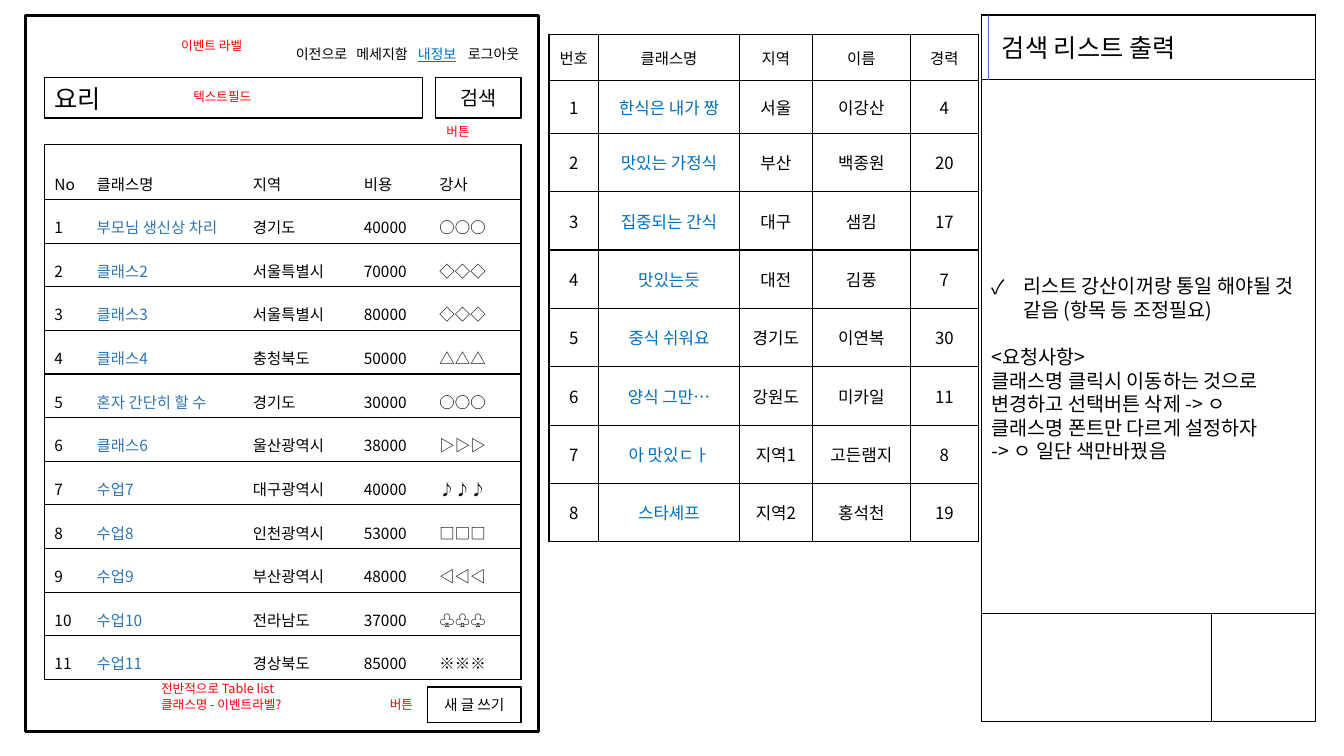
"""Builds the class search list wireframe slide."""
from lxml import etree
from pptx import Presentation
from pptx.dml.color import RGBColor
from pptx.enum import shapes, text
from pptx.oxml import ns
from pptx.util import Pt

FONT = "Noto Sans CJK KR"
COLORS = {"black": "000000", "white": "FFFFFF", "red": "FF0000",
          "link": "0070C0", "class": "2E75B6", "accent": "4472C4"}
LEFT, CENTER = text.PP_ALIGN.LEFT, text.PP_ALIGN.CENTER
TOP, MIDDLE = text.MSO_ANCHOR.TOP, text.MSO_ANCHOR.MIDDLE

TITLE = "검색 리스트 출력"
TODO = "리스트 강산이꺼랑 통일 해야될 것 같음 (항목 등 조정필요)"
REQUESTS = ["<요청사항>", "클래스명 클릭시 이동하는 것으로 변경하고 선택버튼 삭제 -> ㅇ",
            "클래스명 폰트만 다르게 설정하자", "-> ㅇ 일단 색만바꿨음"]
COURSES = [
    ("No", "클래스명", "지역", "비용", "강사"),
    ("1", "부모님 생신상 차리", "경기도", "40000", "○○○"),
    ("2", "클래스2", "서울특별시", "70000", "◇◇◇"),
    ("3", "클래스3", "서울특별시", "80000", "◇◇◇"),
    ("4", "클래스4", "충청북도", "50000", "△△△"),
    ("5", "혼자 간단히 할 수", "경기도", "30000", "○○○"),
    ("6", "클래스6", "울산광역시", "38000", "▷▷▷"),
    ("7", "수업7", "대구광역시", "40000", "♪♪♪"),
    ("8", "수업8", "인천광역시", "53000", "□□□"),
    ("9", "수업9", "부산광역시", "48000", "◁◁◁"),
    ("10", "수업10", "전라남도", "37000", "♧♧♧"),
    ("11", "수업11", "경상북도", "85000", "※※※"),
]
TEACHERS = [
    ("번호", "클래스명", "지역", "이름", "경력"),
    ("1", "한식은 내가 짱", "서울", "이강산", "4"),
    ("2", "맛있는 가정식", "부산", "백종원", "20"),
    ("3", "집중되는 간식", "대구", "샘킴", "17"),
    ("4", "맛있는듯", "대전", "김풍", "7"),
    ("5", "중식 쉬워요", "경기도", "이연복", "30"),
    ("6", "양식 그만…", "강원도", "미카일", "11"),
    ("7", "아 맛있ㄷㅏ", "지역1", "고든램지", "8"),
    ("8", "스타셰프", "지역2", "홍석천", "19"),
]
NOTES = [
    (122.4, 23.8, ["이벤트 라벨"]),
    (131, 59.8, ["텍스트필드"]),
    (311.8, 85, ["버튼"]),
    (108, 483.1, ["전반적으로 Table list", "클래스명 - 이벤트라벨?"]),
    (271.4, 493.9, ["버튼"]),
]
NAV = [("이전으로", 200.9, 57.6, "black"), ("메세지함", 244.1, 57.6, "black"),
       ("내정보", 286.6, 51.1, "link"), ("로그아웃", 322.6, 59.8, "black")]
PANEL_X, PANEL_Y, PANEL_W, PANEL_H = 701.3, 10.8, 238.3, 504.7
HEAD_Y, FOOT_Y = 56.9, 437.8
RULES = [(PANEL_X, HEAD_Y, PANEL_X + PANEL_W, HEAD_Y, "black"),
         (706.3, PANEL_Y, 706.3, HEAD_Y, "accent"),
         (PANEL_X, FOOT_Y, PANEL_X + PANEL_W, FOOT_Y, "black"),
         (865.4, FOOT_Y, 865.4, PANEL_Y + PANEL_H, "black")]


def rgb(name):
    return RGBColor.from_string(COLORS[name])


def add_run(p, words, size, color="black"):
    r = p.add_run()
    r.text = words
    r.font.size, r.font.name = Pt(size), FONT
    r.font.color.rgb = rgb(color)
    latin = r.font._element.find(ns.qn("a:latin"))
    latin.addnext(latin.makeelement(ns.qn("a:ea"), {"typeface": FONT}))
    return r


def write(tf, lines, size, color="black", align=LEFT, anchor=TOP):
    tf.word_wrap = True
    tf.auto_size = text.MSO_AUTO_SIZE.NONE
    tf.vertical_anchor = anchor
    for i, line in enumerate(lines):
        p = tf.add_paragraph() if i else tf.paragraphs[0]
        p.alignment = align
        add_run(p, line, size, color)
    return tf


def add_box(s, x, y, w, h, width=1, fill="white"):
    sp = s.shapes.add_shape(shapes.MSO_SHAPE.RECTANGLE, Pt(x), Pt(y), Pt(w), Pt(h))
    sp.shadow.inherit = False
    if fill:
        sp.fill.solid()
        sp.fill.fore_color.rgb = rgb(fill)
    else:
        sp.fill.background()
    sp.line.color.rgb, sp.line.width = rgb("black"), Pt(width)
    return sp


def add_label(s, x, y, w, h, lines, size, color, **layout):
    tf = s.shapes.add_textbox(Pt(x), Pt(y), Pt(w), Pt(h)).text_frame
    return write(tf, lines, size, color, **layout)


def add_rule(s, x1, y1, x2, y2, color):
    line = s.shapes.add_connector(shapes.MSO_CONNECTOR.STRAIGHT, Pt(x1), Pt(y1), Pt(x2), Pt(y2))
    line.line.color.rgb, line.line.width = rgb(color), Pt(0.5)
    etree.SubElement(line._element.spPr, ns.qn("a:effectLst"))
    return line


def set_borders(cell, drawn):
    tcPr = cell._tc.get_or_add_tcPr()
    for side in "LRTB":
        ln = etree.SubElement(tcPr, ns.qn("a:ln" + side), w=str(Pt(1)))
        if side in drawn:
            fill = etree.SubElement(ln, ns.qn("a:solidFill"))
            etree.SubElement(fill, ns.qn("a:srgbClr"), val=COLORS["black"])
        else:
            etree.SubElement(ln, ns.qn("a:noFill"))
    cell.fill.background()


def add_grid(s, x, y, rows, widths, heights, sizes, link, align, anchor, spacing, inner):
    frame = s.shapes.add_table(len(rows), len(widths), Pt(x), Pt(y), Pt(sum(widths)), Pt(sum(heights)))
    table = frame.table
    table.first_row = table.horz_banding = False
    for column, w in zip(table.columns, widths):
        column.width = Pt(w)
    for i, (row, h) in enumerate(zip(rows, heights)):
        table.rows[i].height = Pt(h)
        for j, words in enumerate(row):
            cell = table.cell(i, j)
            cell.vertical_anchor = anchor
            p = cell.text_frame.paragraphs[0]
            p.alignment, p.line_spacing = align, spacing[i > 0]
            add_run(p, words, sizes[i > 0], link if i and j == 1 else "black")
            left = "L" if inner or j == 0 else ""
            right = "R" if inner or j == len(row) - 1 else ""
            set_borders(cell, "TB" + left + right)


def add_panel(s):
    panel = add_box(s, PANEL_X, PANEL_Y, PANEL_W, PANEL_H)
    tf = write(panel.text_frame, [TODO] + REQUESTS, 14, anchor=MIDDLE)
    pPr = tf.paragraphs[0]._p.get_or_add_pPr()
    pPr.set("marL", str(Pt(22.5)))
    pPr.set("indent", str(Pt(-22.5)))
    etree.SubElement(pPr, ns.qn("a:buFont"), typeface=FONT)
    etree.SubElement(pPr, ns.qn("a:buChar"), char="✓")
    tf.paragraphs[1].space_before = Pt(16.8)
    for rule in RULES:
        last = add_rule(s, *rule)
    title = s.shapes.title
    title.left, title.top, title.width, title.height = Pt(708.5), Pt(19.4), Pt(177.8), Pt(28.8)
    write(title.text_frame, [TITLE], 18)
    last.element.addnext(title.element)


def main():
    prs = Presentation()
    prs.slide_width, prs.slide_height = Pt(960), Pt(540)
    s = prs.slides.add_slide(prs.slide_layouts[5])
    add_panel(s)
    write(add_box(s, 31.7, 55.6, 270, 28.8).text_frame, ["요리"], 18, anchor=MIDDLE)
    add_grid(s, 31.7, 103.4, COURSES, [30.2, 111.6, 79.2, 54, 65.5], [38] + [31.1] * 11,
             (11, 11), "class", LEFT, TOP, (2.0, 1.5), False)
    for x, y, w, h, words, size in [(305.3, 490.8, 67, 25.2, "새 글 쓰기", 10.5),
                                    (311, 55.6, 61.2, 28.8, "검색", 14)]:
        write(add_box(s, x, y, w, h).text_frame, [words], size, align=CENTER, anchor=MIDDLE)
    add_box(s, 18, 10.8, 366.5, 511.9, 2.25, None)
    add_grid(s, 392.2, 24.5, TEACHERS, [35.3, 100.8, 51.8, 70.4, 48.2], [33.1, 37.6] + [41.7] * 7,
             (11, 12), "link", CENTER, MIDDLE, (1.0, 1.0), True)
    for x, y, lines in NOTES:
        add_label(s, x, y, 77 if len(lines) == 1 else 117.4, 7.2 + 10.9 * len(lines), lines, 9, "red")
    for words, x, w, color in NAV:
        tf = add_label(s, x, 24.5, w, 28.1, [words], 10, color, align=CENTER, anchor=MIDDLE)
        tf.paragraphs[0].runs[0].font.underline = color == "link"
    prs.save("out.pptx")


if __name__ == "__main__":
    main()
